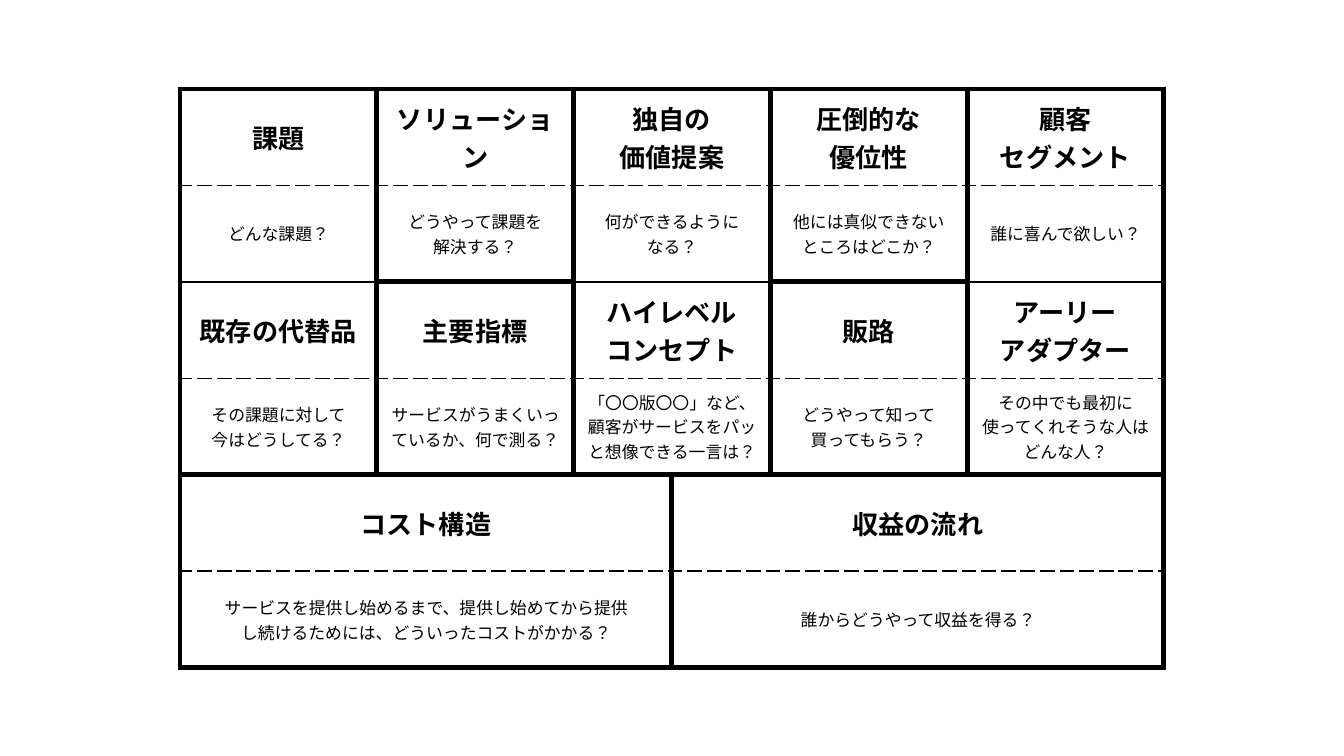
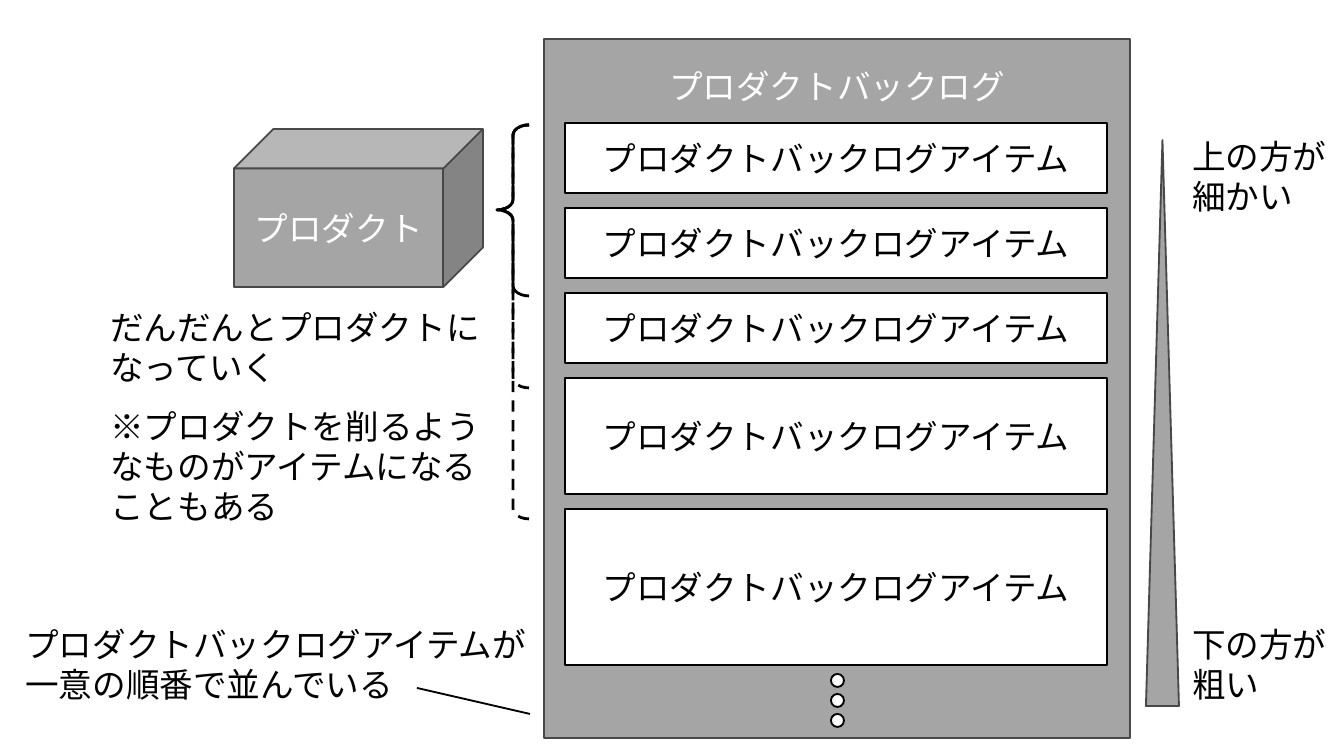
import pptx
import pptx.util
import pptx.dml.color
import pptx.enum.dml
import pptx.enum.lang
import pptx.enum.shapes
import pptx.enum.text
import pptx.oxml
import pptx.oxml.ns

Pt = pptx.util.Pt
RGBColor = pptx.dml.color.RGBColor
SHAPE = pptx.enum.shapes.MSO_SHAPE
ALIGN = pptx.enum.text.PP_ALIGN
ANCHOR = pptx.enum.text.MSO_ANCHOR
DASH = pptx.enum.dml.MSO_LINE.DASH

BLACK = RGBColor(0x00, 0x00, 0x00)
WHITE = RGBColor(0xFF, 0xFF, 0xFF)
GRAY = RGBColor(0xA5, 0xA5, 0xA5)
DARK_GRAY = RGBColor(0x48, 0x48, 0x48)
FONT = "Calibri"
PX = 914400 / 134.4
PAGE_SIZE = (1344, 756)

# Lean canvas: (first column, columns spanned, heading, question)
CANVAS_BANDS = [
    [
        (0, 1, "課題", "どんな課題？"),
        (1, 1, "ソリューション", "どうやって課題を\n解決する？"),
        (2, 2, "独自の\n価値提案", "何ができるように\nなる？"),
        (4, 1, "圧倒的な\n優位性", "他には真似できない\nところはどこか？"),
        (5, 1, "顧客\nセグメント", "誰に喜んで欲しい？"),
    ],
    [
        (0, 1, "既存の代替品", "その課題に対して\n今はどうしてる？"),
        (1, 1, "主要指標", "サービスがうまくいっているか、何で測る？"),
        (2, 2, "ハイレベル\nコンセプト",
         "「〇〇版〇〇」など、顧客がサービスをパッと想像できる一言は？"),
        (4, 1, "販路", "どうやって知って\n買ってもらう？"),
        (5, 1, "アーリー\nアダプター",
         "その中でも最初に\n使ってくれそうな人はどんな人？"),
    ],
    [
        (0, 3, "コスト構造",
         "サービスを提供し始めるまで、提供し始めてから提供\n"
         "し続けるためには、どういったコストがかかる？"),
        (3, 3, "収益の流れ", "誰からどうやって収益を得る？"),
    ],
]
CANVAS_BOX = (180, 89, 984, 579)
COLUMN_SHARES = [2, 2, 1, 1, 2, 2]
LINKED_COLUMNS = (0, 2, 5)  # only a thin rule parts bands 1 and 2 here
THICK, THIN, DASHED = (3, "solid"), (1, "solid"), (1, "dash")

# Product backlog
BACKLOG = (544, 39, 586, 699)
ITEM_TEXT = "プロダクトバックログアイテム"
ITEM_LEFT, ITEM_TOP, ITEM_WIDTH, ITEM_GAP = 565, 123, 542, 15
ITEM_HEIGHTS = [70, 70, 70, 116, 156]
PRODUCT = (234, 129, 249, 158)
WEDGE = (1146, 140, 33, 566)
BRACE_LEFT, BRACE_TOP, BRACE_WIDTH, BRACE_TIP = 497, 125, 32, 85
BRACES = [(171, None), (263, DASH), (394, DASH)]
DOT_LEFT, DOT_TOP, DOT_SIZE, DOT_STEP, DOT_COUNT = 831, 674, 13, 20, 3
NOTES = [
    ((1179, 617, 196, 95), "下の方が\n粗い"),
    ((1179, 129, 196, 95), "上の方が\n細かい"),
    ((97, 300, 452, 95), "だんだんとプロダクトになっていく"),
    ((12, 617, 542, 95), "プロダクトバックログアイテムが一意の順番で並んでいる"),
    ((97, 399, 417, 136), "※プロダクトを削るようなものがアイテムになることもある"),
]
ORDER_POINTER = (417, 688, 530, 714)


def emu(*lengths):
    return [round(length * PX) for length in lengths]


def write(frame, text, size, color, align=ALIGN.CENTER, bold=False):
    frame.text = text
    frame.word_wrap = True
    for para in frame.paragraphs:
        para.alignment = align
        for span in para.runs:
            span.font.name = FONT
            span.font.size = Pt(size)
            span.font.bold = bold
            span.font.color.rgb = color
            span.font.language_id = pptx.enum.lang.MSO_LANGUAGE_ID.JAPANESE


def add_shape(shapes, kind, box, fill, line, width=1):
    shape = shapes.add_shape(kind, *emu(*box))
    shape.shadow.inherit = False
    if fill is None:
        shape.fill.background()
    else:
        shape.fill.solid()
        shape.fill.fore_color.rgb = fill
    shape.line.color.rgb = line
    shape.line.width = Pt(width)
    return shape


def set_borders(cell, top, bottom):
    """Draw thick sides and the given (points, dash) top and bottom edges."""
    properties = cell._tc.get_or_add_tcPr()
    edges = {"lnL": THICK, "lnR": THICK, "lnT": top, "lnB": bottom}
    for position, (tag, (points, dash)) in enumerate(edges.items()):
        edge = pptx.oxml.parse_xml(
            f'<a:{tag} {pptx.oxml.ns.nsdecls("a")} w="{Pt(points)}">'
            f'<a:solidFill><a:srgbClr val="{BLACK}"/></a:solidFill>'
            f'<a:prstDash val="{dash}"/></a:{tag}>')
        properties.insert(position, edge)


def build_canvas(page):
    frame = page.shapes.add_table(
        2 * len(CANVAS_BANDS), len(COLUMN_SHARES), *emu(*CANVAS_BOX))
    table = frame.table
    table.first_row = table.horz_banding = False
    for column, share in zip(table.columns, COLUMN_SHARES):
        column.width = emu(CANVAS_BOX[2] * share / sum(COLUMN_SHARES))[0]
    for row in table.rows:
        row.height = emu(CANVAS_BOX[3] / len(table.rows))[0]

    for band, blocks in enumerate(CANVAS_BANDS):
        for first, count, heading, question in blocks:
            linked = first in LINKED_COLUMNS
            top = THIN if band == 1 and linked else THICK
            bottom = THIN if band == 0 and linked else THICK
            parts = [(heading, 14, True, top, DASHED),
                     (question, 9, False, DASHED, bottom)]
            for row, (text, size, bold, above, below) in enumerate(parts, 2 * band):
                origin = table.cell(row, first)
                if count > 1:
                    origin.merge(table.cell(row, first + count - 1))
                write(origin.text_frame, text, size, BLACK, bold=bold)
                for column in range(first, first + count):
                    cell = table.cell(row, column)
                    cell.vertical_anchor = ANCHOR.MIDDLE
                    cell.fill.background()
                    set_borders(cell, above, below)


def build_backlog(page):
    shapes = page.shapes
    backlog = add_shape(shapes, SHAPE.RECTANGLE, BACKLOG, GRAY, DARK_GRAY)
    write(backlog.text_frame, "プロダクトバックログ", 18, WHITE)
    backlog.text_frame.vertical_anchor = ANCHOR.TOP
    backlog.text_frame.paragraphs[0].line_spacing = 1.5

    product = add_shape(shapes, SHAPE.CUBE, PRODUCT, GRAY, DARK_GRAY)
    write(product.text_frame, "プロダクト", 18, WHITE)

    top = ITEM_TOP
    for height in ITEM_HEIGHTS:
        item = add_shape(shapes, SHAPE.RECTANGLE,
                         (ITEM_LEFT, top, ITEM_WIDTH, height), WHITE, BLACK)
        write(item.text_frame, ITEM_TEXT, 18, BLACK)
        top += height + ITEM_GAP

    add_shape(shapes, SHAPE.ISOSCELES_TRIANGLE, WEDGE, GRAY, DARK_GRAY)

    for height, dash in BRACES:
        brace = add_shape(shapes, SHAPE.LEFT_BRACE,
                          (BRACE_LEFT, BRACE_TOP, BRACE_WIDTH, height),
                          None, BLACK, 1.5)
        brace.adjustments[0] = 0.32
        brace.adjustments[1] = BRACE_TIP / height
        if dash:
            brace.line.dash_style = dash

    for box, text in NOTES:
        note = shapes.add_textbox(*emu(*box))
        write(note.text_frame, text, 18, BLACK, ALIGN.LEFT)

    dots = shapes.add_group_shape()
    for index in range(DOT_COUNT):
        add_shape(dots.shapes, SHAPE.OVAL,
                  (DOT_LEFT, DOT_TOP + index * DOT_STEP, DOT_SIZE, DOT_SIZE),
                  WHITE, BLACK)

    pointer = shapes.add_connector(
        pptx.enum.shapes.MSO_CONNECTOR.STRAIGHT, *emu(*ORDER_POINTER))
    pointer.line.color.rgb = BLACK
    pointer.line.width = Pt(1)
    pointer._element.spPr.append(
        pptx.oxml.parse_xml(f'<a:effectLst {pptx.oxml.ns.nsdecls("a")}/>'))


def main():
    deck = pptx.Presentation()
    deck.slide_width, deck.slide_height = emu(*PAGE_SIZE)
    blank = deck.slide_layouts[6]
    for build in (build_canvas, build_backlog):
        build(deck.slides.add_slide(blank))
    deck.save("out.pptx")


if __name__ == "__main__":
    main()
